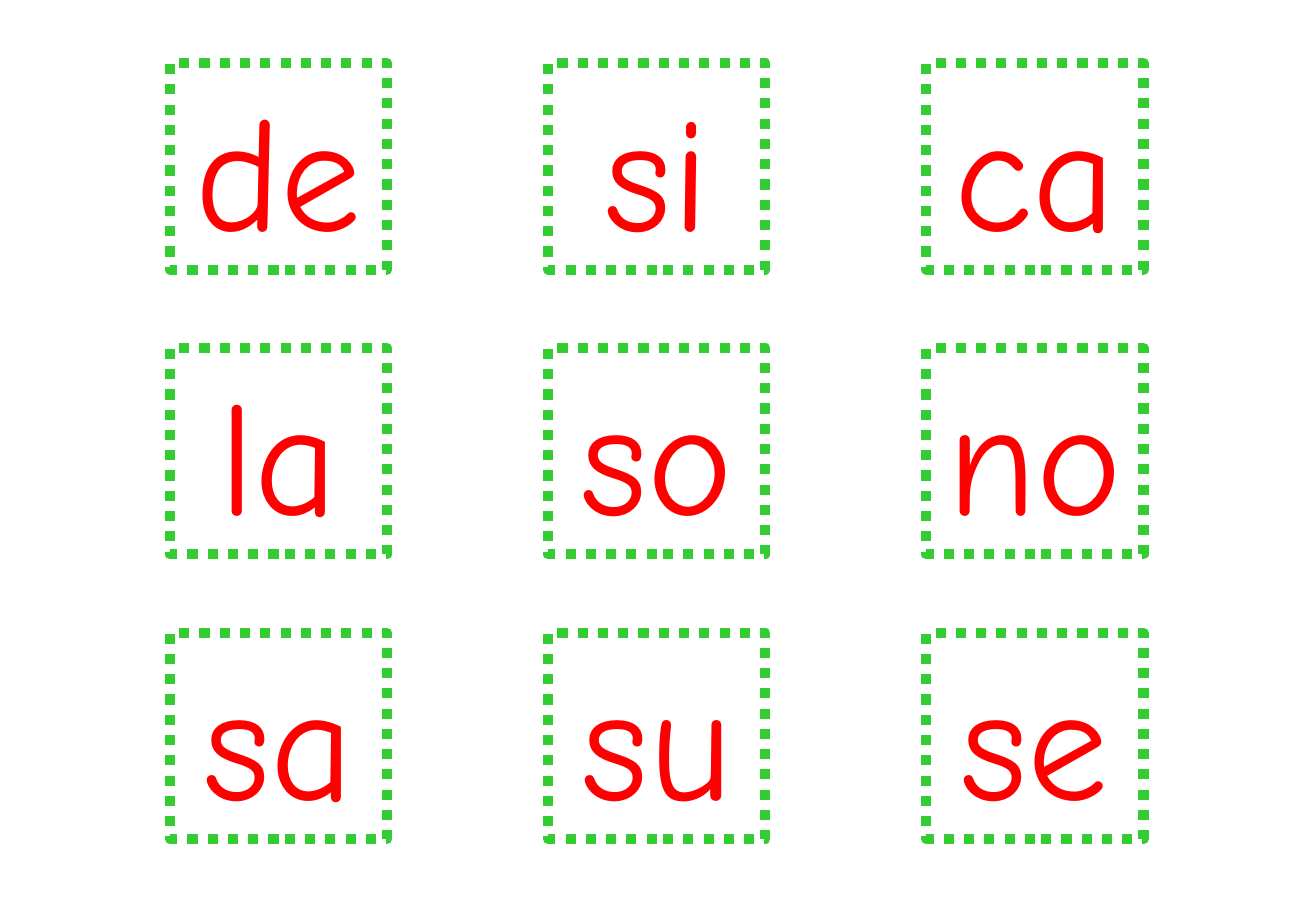
from pptx import Presentation
from pptx.dml.color import RGBColor
from pptx.enum.dml import MSO_LINE
from pptx.enum.shapes import MSO_SHAPE
from pptx.enum.text import MSO_ANCHOR, MSO_AUTO_SIZE, PP_ALIGN
from pptx.util import Inches, Pt

GREEN = RGBColor(0x33, 0xCC, 0x33)
RED = RGBColor(0xFF, 0x00, 0x00)

SYLLABLES = [
    ["de", "si", "ca"],
    ["la", "so", "no"],
    ["sa", "su", "se"],
]
LEFT, TOP = 1.4, 0.52
COLUMN_STEP, ROW_STEP = 3.115, 2.345
CARD_WIDTH, CARD_HEIGHT = 1.79, 1.7

prs = Presentation()
prs.slide_width = Inches(10.84)
prs.slide_height = Inches(7.5)
slide = prs.slides.add_slide(prs.slide_layouts[6])

for row, syllables in enumerate(SYLLABLES):
    for column, syllable in enumerate(syllables):
        card = slide.shapes.add_shape(
            MSO_SHAPE.RECTANGLE,
            Inches(LEFT + column * COLUMN_STEP),
            Inches(TOP + row * ROW_STEP),
            Inches(CARD_WIDTH),
            Inches(CARD_HEIGHT),
        )
        card.shadow.inherit = False
        card.fill.background()
        card.line.color.rgb = GREEN
        card.line.width = Pt(6)
        card.line.dash_style = MSO_LINE.ROUND_DOT

        frame = card.text_frame
        frame.text = syllable
        frame.word_wrap = True
        frame.auto_size = MSO_AUTO_SIZE.SHAPE_TO_FIT_TEXT
        frame.vertical_anchor = MSO_ANCHOR.TOP
        paragraph = frame.paragraphs[0]
        paragraph.alignment = PP_ALIGN.CENTER
        font = paragraph.runs[0].font
        font.name = "Comic Neue"
        font.size = Pt(96)
        font.color.rgb = RED

prs.save("out.pptx")
